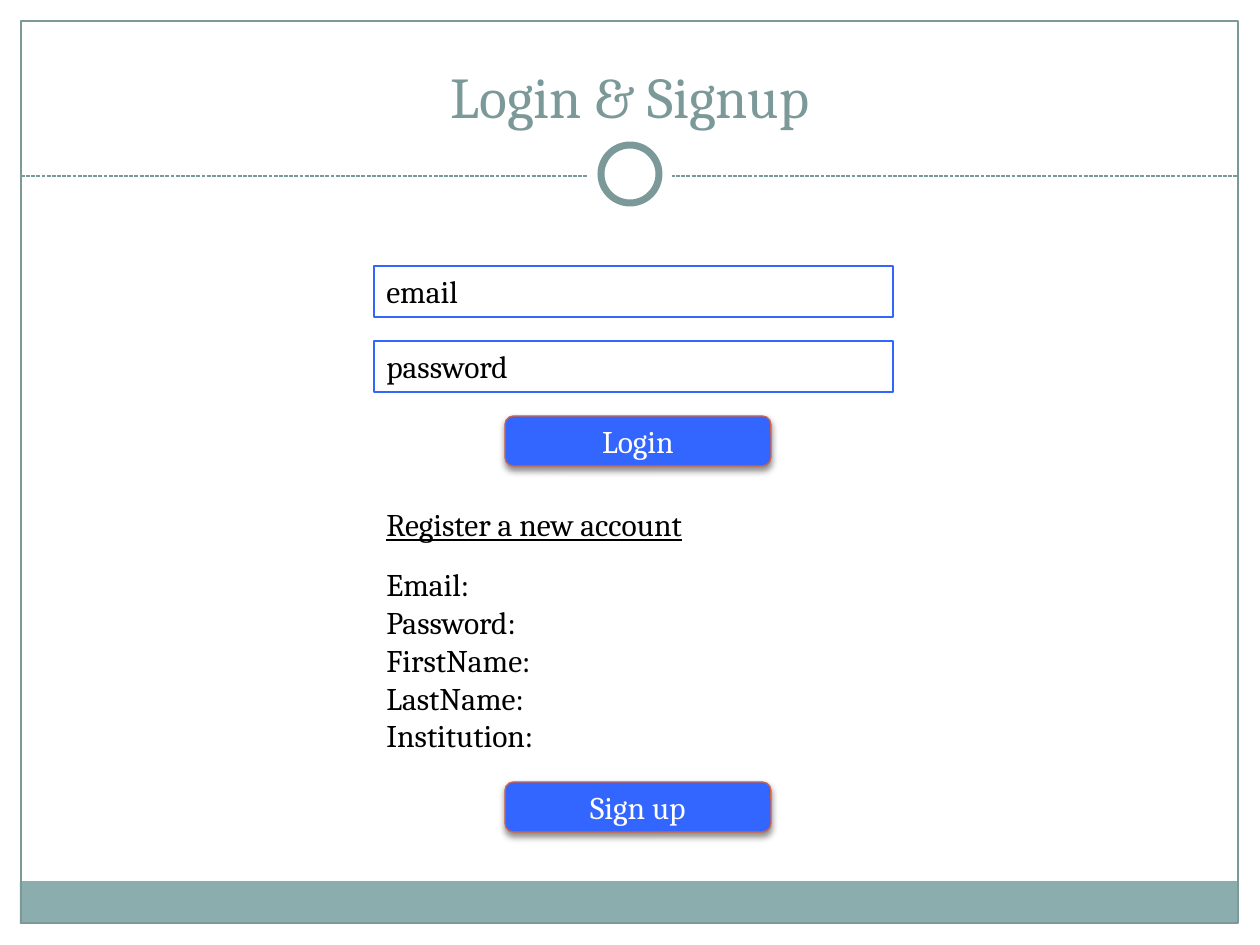
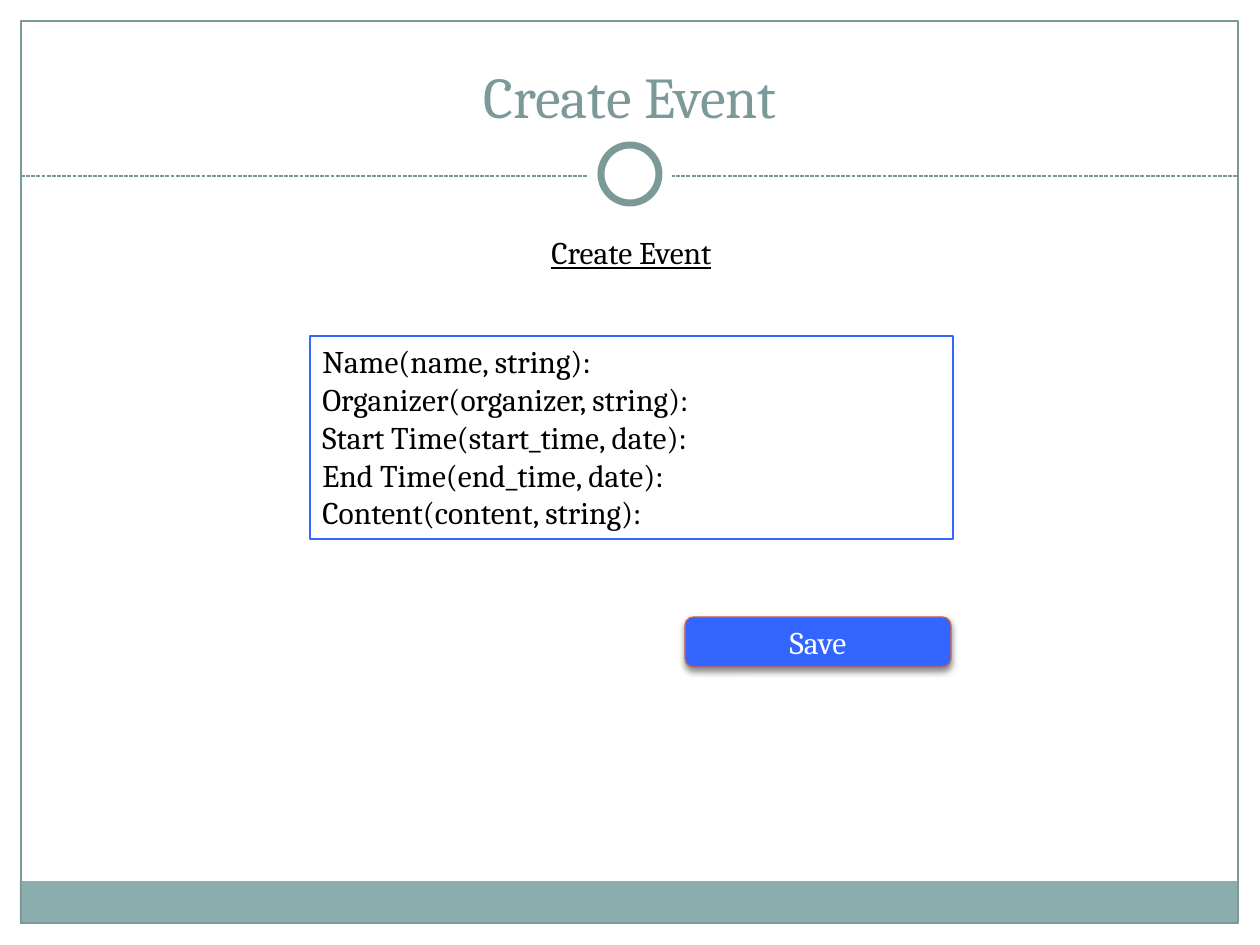
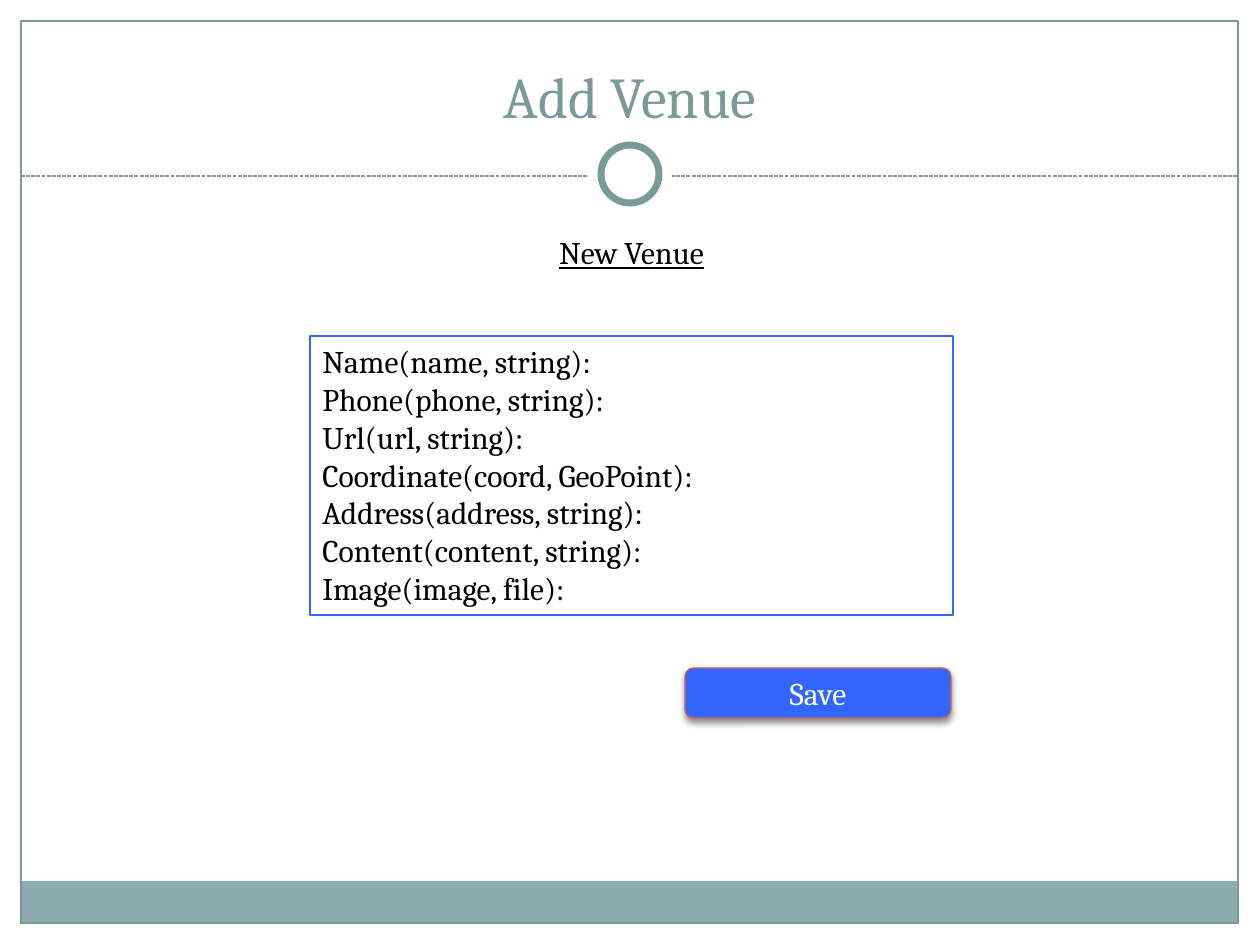
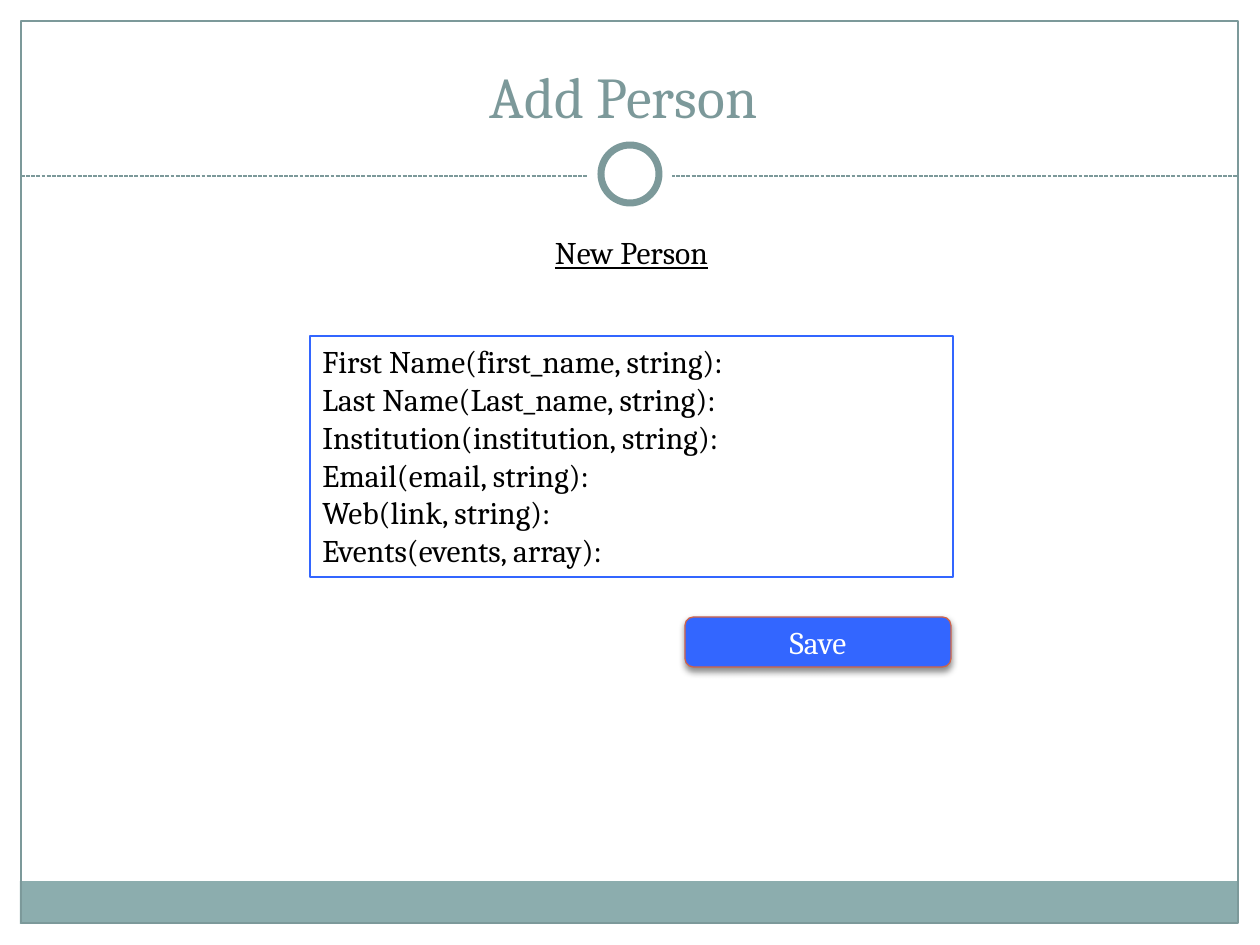
from lxml import etree
from pptx import Presentation
from pptx import util as u
from pptx.dml.color import RGBColor
from pptx.enum import dml, shapes, text
from pptx.oxml.ns import qn

COLORS = {
    "white": "FFFFFF", "black": "000000", "teal": "7C999A",
    "band": "8CADAE", "blue": "3366FF", "rust": "D16349",
}
FONT = "Cambria"
PX = 914400 / 126
RECT = shapes.MSO_SHAPE.RECTANGLE
OVAL = shapes.MSO_SHAPE.OVAL
ROUNDED = shapes.MSO_SHAPE.ROUNDED_RECTANGLE
LEFT, CENTER = text.PP_ALIGN.LEFT, text.PP_ALIGN.CENTER
TOP, MIDDLE, BOTTOM = (text.MSO_ANCHOR.TOP, text.MSO_ANCHOR.MIDDLE,
                       text.MSO_ANCHOR.BOTTOM)


def add_block(slide, kind, box, fill=None, line=None, width=0.75):
    """Add a preset shape, or a text box when kind is None."""
    place = [u.Emu(round(n * PX)) for n in box]
    if kind is None:
        return slide.shapes.add_textbox(*place)
    block = slide.shapes.add_shape(kind, *place)
    block.shadow.inherit = False
    if fill:
        block.fill.solid()
        block.fill.fore_color.rgb = RGBColor.from_string(COLORS[fill])
    else:
        block.fill.background()
    if line:
        block.line.color.rgb = RGBColor.from_string(COLORS[line])
        block.line.width = u.Pt(width)
    else:
        block.line.fill.background()
    return block


def write(block, lines, size=18, color="black", align=LEFT, anchor=TOP, underline=None):
    frame = block.text_frame
    frame.word_wrap = True
    frame.vertical_anchor = anchor
    frame.text = "\n".join(lines)
    for paragraph in frame.paragraphs:
        paragraph.alignment = align
        paragraph.font.name = FONT
        paragraph.font.size = u.Pt(size)
        paragraph.font.underline = underline
        paragraph.font.color.rgb = RGBColor.from_string(COLORS[color])


# Content: text is (left, top, width, lines, border, align, underline),
# a button is (left, top, label)
pages = [(
    "Login & Signup",
    [
        (374, 266, 519, ["email"], "blue", LEFT, None),
        (374, 341, 519, ["password"], "blue", LEFT, None),
        (374, 499, 519, ["Register a new account"], None, LEFT, True),
        (374, 559, 519, ["Email:", "Password:", "FirstName:", "LastName:",
                         "Institution:"], None, LEFT, None),
    ],
    [(505, 416, "Login"), (505, 782, "Sign up")],
)]

# The three entry forms share one arrangement
forms = [
    ("Create Event", "Create Event", 617, [
        "Name(name, string):", "Organizer(organizer, string):",
        "Start Time(start_time, date):", "End Time(end_time, date):",
        "Content(content, string):"]),
    ("Add Venue", "New Venue", 668, [
        "Name(name, string):", "Phone(phone, string):", "Url(url, string):",
        "Coordinate(coord, GeoPoint):", "Address(address, string):",
        "Content(content, string):", "Image(image, file):"]),
    ("Add Person ", "New Person", 617, [
        "First Name(first_name, string):", "Last Name(Last_name, string):",
        "Institution(institution, string):", "Email(email, string):",
        "Web(link, string):", "Events(events, array):"]),
]
for title, heading, save_top, fields in forms:
    pages.append((
        title,
        [(386, 227, 491, [heading], None, CENTER, True),
         (310, 336, 643, fields, "blue", LEFT, None)],
        [(685, save_top, "Save")],
    ))

prs = Presentation()
prs.slide_width, prs.slide_height = u.Inches(10), u.Inches(7.5)

for title, texts, buttons in pages:
    slide = prs.slides.add_slide(prs.slide_layouts[6])

    # White margins, bottom band and frame
    for margin in [(0, 0, 1260, 192), (0, 0, 21, 945), (1239, 0, 21, 945)]:
        add_block(slide, RECT, margin, "white")
    add_block(slide, RECT, (20, 881, 1217, 43), "band")
    add_block(slide, RECT, (21, 21, 1217, 902), line="teal")

    # Dashed divider with the ring on it
    start_x, end_x, y = [u.Emu(round(n * PX)) for n in (21, 1239, 176)]
    divider = slide.shapes.add_connector(
        shapes.MSO_CONNECTOR.STRAIGHT, start_x, y, end_x, y)
    divider.line.color.rgb = RGBColor.from_string(COLORS["teal"])
    divider.line.width = u.Pt(0.75)
    divider.line.dash_style = dml.MSO_LINE.SQUARE_DOT
    etree.SubElement(divider._element.spPr, qn("a:effectLst"))
    add_block(slide, OVAL, (588, 132, 84, 84), "white")
    add_block(slide, OVAL, (601, 145, 58, 58), "white", "teal", 4)

    # Title
    write(add_block(slide, None, (42, 31, 1176, 105)), [title],
          33, "teal", CENTER, BOTTOM)

    # Headings and fields, as tall as their lines
    for left, top, width, lines, border, align, underline in texts:
        box = (left, top, width, 13 + 38 * len(lines))
        field = add_block(slide, RECT if border else None, box, line=border)
        write(field, lines, align=align, underline=underline)

    # Buttons with a soft shadow below
    for left, top, label in buttons:
        button = add_block(slide, ROUNDED, (left, top, 266, 50), "blue", "rust")
        write(button, [label], color="white", align=CENTER, anchor=MIDDLE)
        effects = button._element.spPr.find(qn("a:effectLst"))
        shadow = etree.SubElement(
            effects, qn("a:outerShdw"), blurRad=str(u.Pt(4)), dist=str(u.Pt(2)),
            dir="5400000", rotWithShape="0")
        tint = etree.SubElement(shadow, qn("a:srgbClr"), val=COLORS["black"])
        etree.SubElement(tint, qn("a:alpha"), val="45000")

prs.save("out.pptx")
